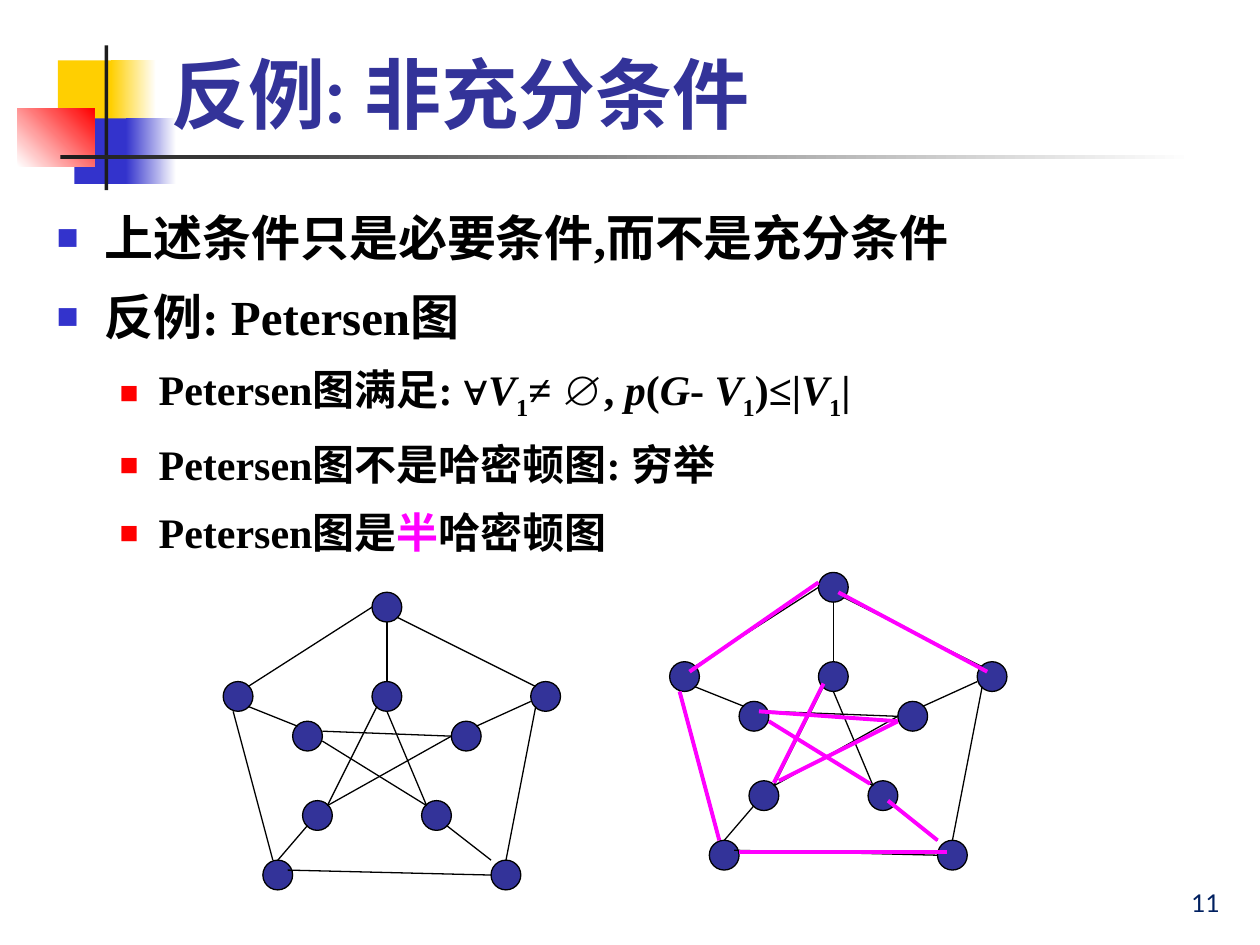
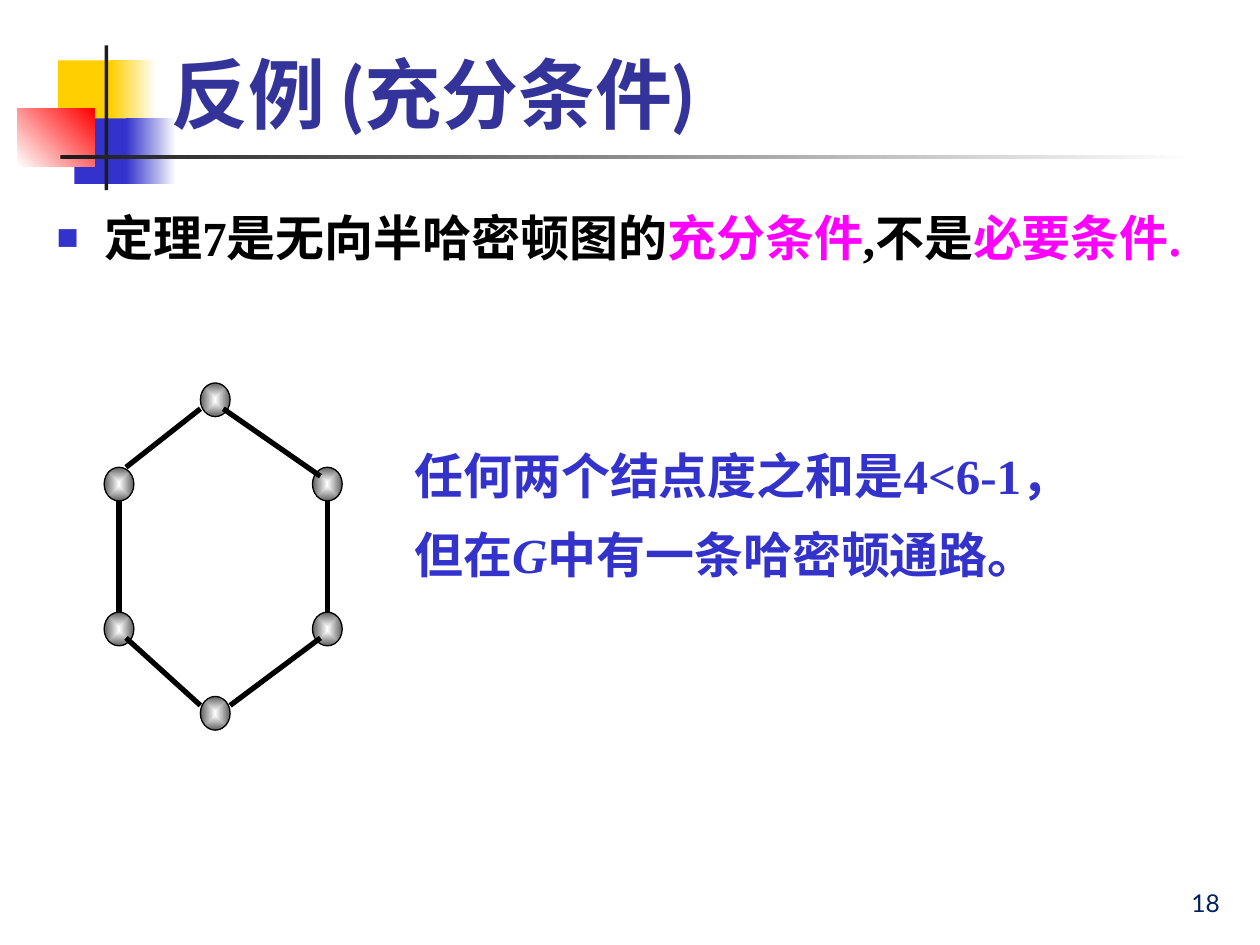
"""Builds two slides on counterexamples for Hamiltonian graph conditions."""
import pptx
import pptx.util
import pptx.dml.color
import pptx.enum.shapes
import pptx.enum.text
import pptx.oxml.ns
import lxml.etree

NAVY, BLUE, RED, GOLD = "333399", "3333CC", "FF0000", "FFCF01"
PINK, BLACK, WHITE, DARK, GREY = "FF00FF", "000000", "FFFFFF", "1C1C1C", "5F5F5F"
SERIF, SANS = "Times New Roman", "Lato"
Pt, qn = pptx.util.Pt, pptx.oxml.ns.qn
Kind, Align = pptx.enum.shapes.MSO_SHAPE, pptx.enum.text.PP_ALIGN
Anchor = pptx.enum.text.MSO_ANCHOR


def paint(fill, *hues, turn=0):
    """Fill with one colour, or with a gradient of two."""
    tones = [pptx.dml.color.RGBColor.from_string(hue) for hue in hues]
    if len(tones) == 1:
        fill.solid()
        fill.fore_color.rgb = tones[0]
        return
    fill.gradient()
    fill.gradient_angle = turn
    for stop, tone in zip(fill.gradient_stops, tones):
        stop.color.rgb = tone


def write(para, runs, size, face, hue, bold=True):
    """Write runs of (text, style): i italic, s subscript, p pink."""
    font = para.font
    font.size, font.name, font.bold = Pt(size), face, bold
    paint(font.fill, hue)
    for text, style in runs:
        run = para.add_run()
        run.text = text
        if style == "i":
            run.font.italic = True
        elif style == "s":
            run.font._element.set("baseline", "-25000")
        elif style == "p":
            paint(run.font.fill, PINK)


deck = pptx.Presentation()
deck.slide_width, deck.slide_height = pptx.util.Inches(10), pptx.util.Inches(7.5)
cell = deck.slide_width / 100
step = deck.slide_width / 127

pages = [
    ("反例: 非充分条件", "11", [
        (0, [("上述条件只是必要条件,而不是充分条件", "")]),
        (0, [("反例: Petersen图", "")]),
        (1, [("Petersen图满足: ∀", ""), ("V", "i"), ("1", "s"), ("≠ ∅, ", ""),
             ("p", "i"), ("(", ""), ("G", "i"), ("- ", ""), ("V", "i"), ("1", "s"),
             (")≤|", ""), ("V", "i"), ("1", "s"), ("|", "")]),
        (1, [("Petersen图不是哈密顿图: 穷举", "")]),
        (1, [("Petersen图是", ""), ("半", "p"), ("哈密顿图", "")]),
    ]),
    ("反例 (充分条件)", "18", [
        (0, [("定理7是无向半哈密顿图的", ""), ("充分条件", "p"), (",不是", ""),
             ("必要条件.", "p")]),
    ]),
]
levels = [(28, 3.8, 3.8, BLUE), (24, 8.1, 3.1, RED)]

slides = []
for title, number, items in pages:
    slide = deck.slides.add_slide(deck.slide_layouts[1])
    slides.append(slide)
    head, body = slide.placeholders
    spots = [(head, 12.6, 0.8, 85.2, 10.7), (body, 3.5, 15.5, 92.9, 57.5)]
    for box, *spot in spots:
        box.left, box.top, box.width, box.height = (int(v * cell) for v in spot)
        box.text_frame.auto_size = pptx.enum.text.MSO_AUTO_SIZE.NONE

    head.text_frame.vertical_anchor = Anchor.BOTTOM
    para = head.text_frame.paragraphs[0]
    para.alignment = Align.LEFT
    write(para, [(title, "")], 44, SANS, NAVY)
    glow = lxml.etree.SubElement(para.runs[0].font._element, qn("a:effectLst"))
    glow = lxml.etree.SubElement(glow, qn("a:outerShdw"), dist="35921", dir="2700000")
    lxml.etree.SubElement(glow, qn("a:srgbClr"), val=BLACK)

    for row, (level, runs) in enumerate(items):
        frame = body.text_frame
        para = frame.add_paragraph() if row else frame.paragraphs[0]
        size, left, hang, hue = levels[level]
        para.level, para.line_spacing = level, 1.1
        para.space_before = Pt(0.3 * size if row else 0)
        props = para._p.get_or_add_pPr()
        props.set("marL", str(int(left * cell)))
        props.set("indent", str(int(-hang * cell)))
        mark = lxml.etree.SubElement(props, qn("a:buClr"))
        lxml.etree.SubElement(mark, qn("a:srgbClr"), val=hue)
        lxml.etree.SubElement(props, qn("a:buSzPct"), val="75000")
        lxml.etree.SubElement(props, qn("a:buChar"), char="■")
        write(para, runs, size, SERIF, BLACK)

    foot = slide.shapes.add_textbox(*(int(v * cell) for v in (77, 68.3, 20.8, 5)))
    foot.text_frame.word_wrap = True
    foot.text_frame.vertical_anchor = Anchor.BOTTOM
    para = foot.text_frame.paragraphs[0]
    para.alignment = Align.RIGHT
    write(para, [(number, "")], 14, SANS, "002060", False)

bands = [
    ((4.6, 4.8, 4.8, 5.2), [GOLD], 0),
    ((8.8, 4.8, 3.6, 5.2), [GOLD, WHITE], 0),
    ((5.9, 9.4, 4.6, 5.2), [BLUE], 0),
    ((10, 9.4, 4, 5.2), [BLUE, WHITE], 0),
    ((1.4, 8.6, 6.1, 4.6), [WHITE, RED], 45),
    ((8.3, 3.6, 0.3, 11.5), [DARK], 0),
    ((4.8, 12.3, 90, 0.3), [DARK, WHITE], 0),
]
master = deck.slide_master.shapes.element
for rank, (spot, hues, turn) in enumerate(bands):
    band = slides[0].shapes.add_shape(Kind.RECTANGLE, *(int(v * cell) for v in spot))
    band.shadow.inherit = False
    band.line.fill.background()
    paint(band.fill, *hues, turn=turn)
    band.element.nvSpPr.cNvPr.set("id", str(20 + rank))
    master.insert(2 + rank, band.element)

stars = [(15, 0), (0, 9), (31, 9), (4, 27), (27, 27),
         (15, 9), (7, 13), (23, 13), (8, 21), (20, 21)]
links = [
    (15, 1.5, 2.5, 9.5), (17.5, 2.5, 31.5, 9.5), (1, 12, 5, 27),
    (31.5, 11.5, 28.5, 27), (6.5, 28, 27, 28.5), (15.5, 11.5, 10.5, 21.5),
    (16.5, 12, 20.5, 21.5), (10, 15, 20.5, 21.5), (10, 14, 23, 14.5),
    (10.5, 21.5, 23, 14.5), (2.5, 11.5, 7.5, 13.5), (16.5, 3, 16.5, 9),
    (25.5, 13.5, 31, 11), (5.5, 27, 8.5, 23.5), (22.5, 23.5, 27, 27),
]
trail = [
    (15, 1, 2, 10), (1, 12, 5, 27), (7, 28.2, 28, 28.2), (27, 27, 22, 23),
    (20.2, 21.3, 10, 15), (23, 15, 9, 14), (23, 15, 11, 21),
    (15.5, 11.2, 10.5, 21.2), (32, 10, 17, 2),
]
balls = [(9.7, 31.6), (0, 23.1), (21, 23.1), (9.7, 0), (0, 8.5), (21, 8.5)]
sides = [
    (9.7, 32.5, 2.2, 25.7), (12.7, 32.5, 21.8, 25.7), (1.5, 11.9, 1.5, 23.1),
    (22.5, 11.9, 22.5, 23.1), (2.2, 8.5, 9.7, 2.6), (12, 2.6, 21.8, 9.4),
]
graphs = [
    (slides[0], 22.5, 59.7, stars, 3, [NAVY], links, BLACK, 0.75),
    (slides[0], 67.5, 57.7, stars, 3, [NAVY], links, BLACK, 0.75),
    (slides[0], 67.5, 57.7, [], 3, [], trail, PINK, 2.25),
    (slides[1], 10.5, 38.6, balls, 3.4, [WHITE, GREY], sides, BLACK, 3),
]
for slide, left, top, nodes, high, hues, edges, ink, thick in graphs:
    for x, y in nodes:
        spot = (left + x, top + y, 3, high)
        node = slide.shapes.add_shape(Kind.OVAL, *(int(v * step) for v in spot))
        node.shadow.inherit = False
        paint(node.fill, *hues)
        paint(node.line.fill, BLACK)
        node.line.width = Pt(0.75)
        for line in node.element.findall(".//" + qn("a:lin")):
            ring = lxml.etree.SubElement(line.getparent(), qn("a:path"), path="shape")
            lxml.etree.SubElement(ring, qn("a:fillToRect"),
                                  l="50000", t="50000", r="50000", b="50000")
            line.getparent().remove(line)
    for x, y, u, v in edges:
        ends = (left + x, top + y, left + u, top + v)
        edge = slide.shapes.add_connector(
            pptx.enum.shapes.MSO_CONNECTOR.STRAIGHT, *(int(n * step) for n in ends))
        paint(edge.line.fill, ink)
        edge.line.width = Pt(thick)
        lxml.etree.SubElement(edge.element.spPr, qn("a:effectLst"))

note = slides[1].shapes.add_textbox(*(int(v * cell) for v in (31.9, 34.4, 56.7, 14.2)))
note.text_frame.word_wrap = True
lines = [[("任何两个结点度之和是4<6-1，", "")],
         [("但在", ""), ("G", "i"), ("中有一条哈密顿通路。", "")]]
for row, runs in enumerate(lines):
    frame = note.text_frame
    para = frame.add_paragraph() if row else frame.paragraphs[0]
    para.alignment, para.line_spacing = Align.JUSTIFY, 1.1
    para.space_before = Pt(8.4 if row else 0)
    props = para._p.get_or_add_pPr()
    props.set("marL", str(int(3.8 * cell)))
    props.set("indent", str(int(-3.8 * cell)))
    write(para, runs, 28, SERIF, BLUE)

deck.save("out.pptx")
